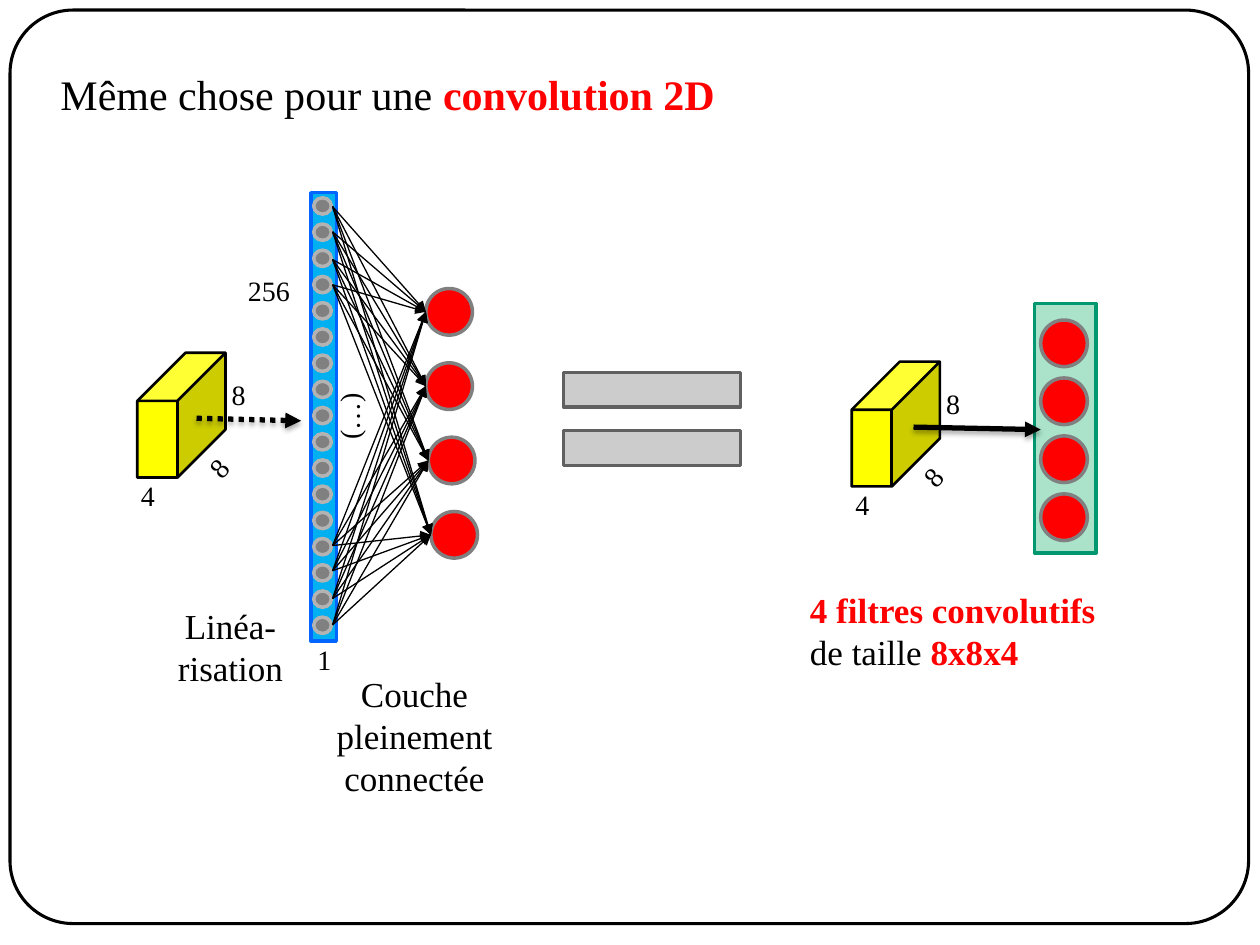
import collections
import lxml.etree
import pptx
import pptx.dml.color
import pptx.enum.dml
import pptx.enum.shapes
import pptx.enum.text
import pptx.oxml
import pptx.oxml.ns
import pptx.util

Theme = collections.namedtuple(
    "Theme", "font title body label ink accent cube grey ring vector vector_edge "
    "layer layer_edge sign sign_edge dot_edge")
theme = Theme(
    font="Times New Roman", title=24, body=20, label=16, ink="000000", accent="FF0000",
    cube="FFFF00", grey="808080", ring="808080", vector="00B0F0", vector_edge="0066FF",
    layer="AAE2CA", layer_edge="009771", sign="CCCCCC", sign_edge="606060", dot_edge="B3B3B3")
kinds = pptx.enum.shapes.MSO_SHAPE
alignment = pptx.enum.text.PP_ALIGN
color = pptx.dml.color.RGBColor.from_string
qn = pptx.oxml.ns.qn

deck = pptx.Presentation()
deck.slide_width = pptx.util.Inches(10)
deck.slide_height = pptx.util.Inches(7.5)
page = deck.slides.add_slide(deck.slide_layouts[5])
cell = deck.slide_width / 100


def add_figure(kind, column, row, columns, rows, fill, edge, weight=2, adjustments=()):
    figure = page.shapes.add_shape(
        kind, *(round(cell * length) for length in (column, row, columns, rows)))
    figure.shadow.inherit = False
    for index, value in enumerate(adjustments):
        figure.adjustments[index] = value
    if fill:
        figure.fill.solid()
        figure.fill.fore_color.rgb = color(fill)
    else:
        figure.fill.background()
    figure.line.color.rgb = color(edge)
    figure.line.width = pptx.util.Pt(weight)


def write(box, place, lines, size, align=alignment.LEFT, wrap=False):
    box.left, box.top, box.width, box.height = (round(cell * length) for length in place)
    frame = box.text_frame
    frame.word_wrap = wrap
    frame.auto_size = pptx.enum.text.MSO_AUTO_SIZE.SHAPE_TO_FIT_TEXT
    frame.vertical_anchor = pptx.enum.text.MSO_ANCHOR.TOP
    for number, line in enumerate(lines):
        para = frame.add_paragraph() if number else frame.paragraphs[0]
        para.alignment = align
        for words, strong in line:
            span = para.add_run()
            span.text = words
            span.font.name = theme.font
            span.font.size = pptx.util.Pt(size)
            span.font.bold = strong
            span.font.color.rgb = color(theme.accent if strong else theme.ink)


add_figure(kinds.ROUNDED_RECTANGLE, 0.8, 0.8, 98.3, 72.5, None, theme.ink, 1.75, [0.069])
write(page.shapes.title, (3.8, 4.9, 91.9, 5),
      [[("Même chose pour une ", False), ("convolution 2D", True)]], theme.title, wrap=True)

add_figure(kinds.RECTANGLE, 82.1, 24.1, 4.9, 19.8, theme.layer, theme.layer_edge)
add_figure(kinds.RECTANGLE, 24.7, 15.3, 2, 35.6, theme.vector, theme.vector_edge)
add_figure(kinds.MATH_EQUAL, 42.2, 22.1, 19.1, 22.3, theme.sign, theme.sign_edge,
           adjustments=[0.124, 0.083])

labels = [("256", 18.7, 21.2, 5.4, 0), ("1", 24.2, 50.5, 3.1, 0), ("(…)", 24.8, 31.1, 5.8, 270)]
for column, row in [(10.9, 28), (67.6, 28.7)]:
    add_figure(kinds.CUBE, column, row, 7, 9.9, theme.cube, theme.ink, 1.5, [0.545])
    labels += [("8", column + 6.5, row + 1.5, 3.1, 0),
               ("8", column + 4.9, row + 7.3, 3.1, 312.3),
               ("4", column - 0.7, row + 9.5, 3.1, 0)]

for index in range(17):
    add_figure(kinds.OVAL, 24.9, 15.7 + 2.08 * index, 1.4, 1.3, theme.grey, theme.dot_edge)

neurons = [(column, 22.9 + 5.9 * index) for index, column in enumerate([33.8, 33.8, 34, 34.2])]
filters = [(82.6, 25.4 + 4.6 * index) for index in range(4)]
for column, row in neurons + filters:
    add_figure(kinds.OVAL, column, row, 3.7, 3.7, theme.accent, theme.ring)

arrows = [(26.4, start, column, row + 1.85, 0.75, None)
          for column, row in neurons
          for start in [16.4, 18.4, 20.6, 22.6, 43.3, 45.3, 47.5, 49.6]]
arrows += [(15.6, 33.2, 23.9, 33.4, 3, pptx.enum.dml.MSO_LINE.ROUND_DOT),
           (72.5, 33.9, 82.6, 34.1, 3, None)]
for *ends, weight, dash in arrows:
    arrow = page.shapes.add_connector(
        pptx.enum.shapes.MSO_CONNECTOR.STRAIGHT, *(round(cell * length) for length in ends))
    arrow.line.color.rgb = color(theme.ink)
    arrow.line.width = pptx.util.Pt(weight)
    if dash:
        arrow.line.dash_style = dash
    properties = arrow.element.spPr
    lxml.etree.SubElement(properties.find(qn("a:ln")), qn("a:tailEnd"), type="triangle")
    effects = lxml.etree.SubElement(properties, qn("a:effectLst"))
    if weight == 3:
        shadow = lxml.etree.SubElement(
            effects, qn("a:outerShdw"), blurRad=str(pptx.util.Pt(3.1)),
            dist=str(pptx.util.Pt(1.8)), dir="5400000", rotWithShape="0")
        tint = lxml.etree.SubElement(shadow, qn("a:srgbClr"), val=theme.ink)
        lxml.etree.SubElement(tint, qn("a:alpha"), val="35000")

for words, column, row, columns, angle in labels:
    box = page.shapes.add_textbox(0, 0, 0, 0)
    write(box, (column, row, columns, 3.7), [[(words, False)]], theme.label)
    box.rotation = angle

captions = [
    ((13.1, 47.5, 10.4, 7.7), alignment.CENTER, [[("Linéa-", False)], [("risation", False)]]),
    ((25.7, 52.9, 14.4, 11.1), alignment.CENTER,
     [[("Couche", False)], [("pleinement", False)], [("connectée", False)]]),
    ((63.3, 46.2, 24.8, 7.7), alignment.LEFT,
     [[("4 filtres convolutifs", True)], [("de taille ", False), ("8x8x4", True)]]),
]
for place, align, lines in captions:
    write(page.shapes.add_textbox(0, 0, 0, 0), place, lines, theme.body, align)

deck.save("out.pptx")
